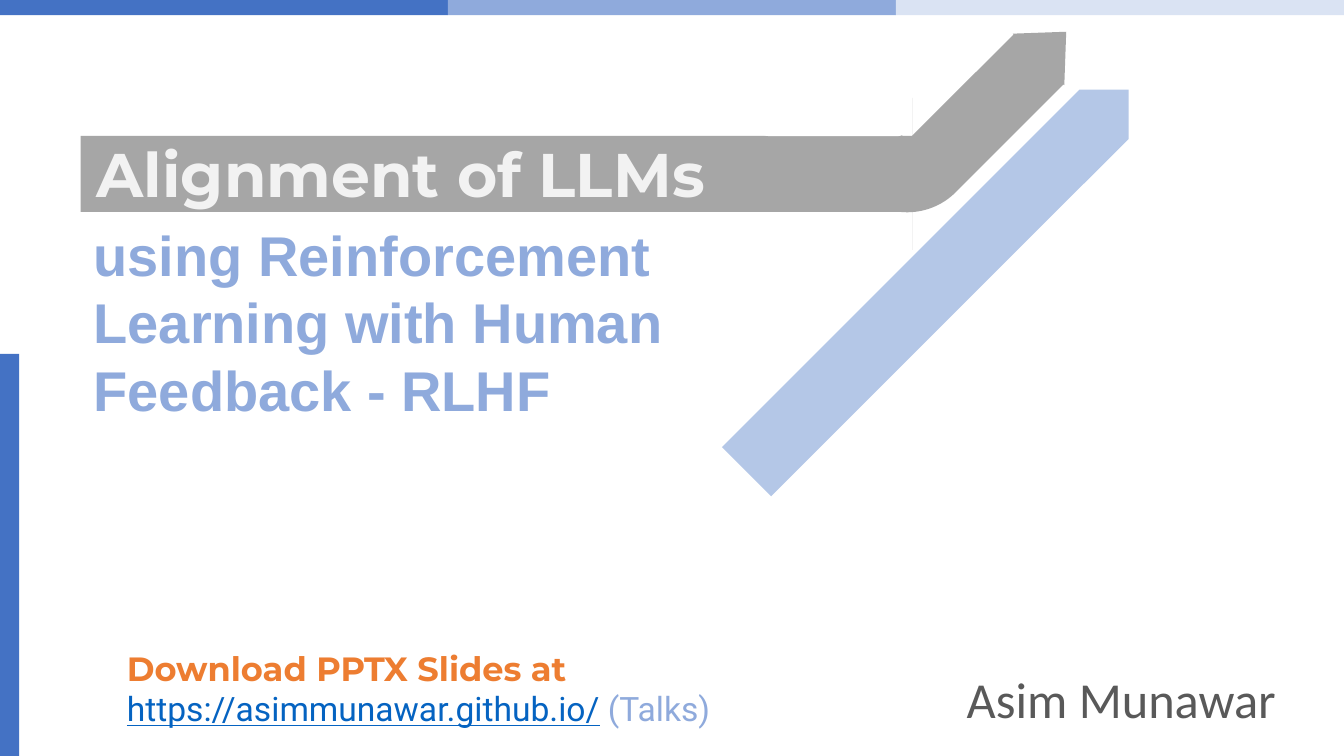
from dataclasses import dataclass

from pptx import Presentation
from pptx.dml.color import RGBColor
from pptx.enum.shapes import MSO_SHAPE
from pptx.enum.text import MSO_ANCHOR
from pptx.util import Inches, Pt


@dataclass(frozen=True)
class Theme:
    bars: tuple = ("4472C4", "8FAADC", "DAE3F3")
    accent: str = "4472C4"
    band: str = "A6A6A6"
    stripe: str = "B4C7E7"
    white: str = "FFFFFF"
    title: str = "F2F2F2"
    subtitle: str = "8FAADC"
    label: str = "ED7D31"
    link: str = "0563C1"
    author: str = "595959"
    title_size: int = 44
    subtitle_size: int = 40
    author_size: int = 36
    note_size: int = 24
    title_font: str = "Montserrat"
    subtitle_font: str = "Arial"
    note_font: str = "Roboto"
    author_font: str = "Calibri"


THEME = Theme()
WIDTH, HEIGHT = 13.33, 7.5


def add_block(slide, kind, box, color, adjustments=(), rotation=0, flip=False):
    sp = slide.shapes.add_shape(kind, *map(Inches, box))
    sp.shadow.inherit = False
    sp.fill.solid()
    sp.fill.fore_color.rgb = RGBColor.from_string(color)
    sp.line.fill.background()
    for i, value in enumerate(adjustments):
        sp.adjustments[i] = value
    sp.rotation = rotation
    if flip:
        sp._element.spPr.xfrm.set("flipV", "1")
    return sp


def add_text(slide, box, wrap=True, anchor=MSO_ANCHOR.TOP):
    tf = slide.shapes.add_textbox(*map(Inches, box)).text_frame
    tf.word_wrap = wrap
    tf.vertical_anchor = anchor
    return tf


def add_run(p, text, size, font, color, bold=False, underline=False):
    r = p.add_run()
    r.text = text
    r.font.size = Pt(size)
    r.font.name = font
    r.font.bold = bold
    r.font.underline = underline
    r.font.color.rgb = RGBColor.from_string(color)


def add_frame(slide, x, y, w, h):
    bar_w = w / len(THEME.bars)
    for i, color in enumerate(THEME.bars):
        add_block(slide, MSO_SHAPE.RECTANGLE, (x + i * bar_w, y - 0.02, bar_w, 0.17), color)
    side_h = 3.99
    add_block(slide, MSO_SHAPE.RECTANGLE, (x, y + h - side_h, 0.19, side_h), THEME.accent)


def add_arrows(slide, x, y):
    add_block(slide, MSO_SHAPE.RIGHT_ARROW, (x, y + 0.81, 8.25, 1.51), THEME.band, (0.5, 0))
    add_block(slide, MSO_SHAPE.BENT_ARROW, (x + 7.28, y, 2.58, 1.55), THEME.band,
              (0.452, 0.233, 0.25, 0.438), rotation=315, flip=True)
    add_block(slide, MSO_SHAPE.RIGHT_ARROW, (x + 5.82, y + 2.28, 5.36, 0.69), THEME.stripe,
              (1, 0.5), rotation=315, flip=True)
    add_block(slide, MSO_SHAPE.ROUNDED_RECTANGLE, (x + 6.72, y + 0.57, 1.49, 0.62), THEME.white)


def add_headings(slide, x, y):
    p = add_text(slide, (x + 0.03, y, 8.11, 0.84), anchor=MSO_ANCHOR.BOTTOM).paragraphs[0]
    p.line_spacing = 0.9
    add_run(p, "Alignment of LLMs", THEME.title_size, THEME.title_font, THEME.title, bold=True)
    p = add_text(slide, (x, y + 0.84, 7.65, 2.12)).paragraphs[0]
    add_run(p, "using Reinforcement Learning with Human Feedback - RLHF",
            THEME.subtitle_size, THEME.subtitle_font, THEME.subtitle, bold=True)


def add_download(slide, box):
    tf = add_text(slide, box)
    add_run(tf.paragraphs[0], "Download PPTX Slides at",
            THEME.note_size, THEME.title_font, THEME.label, bold=True)
    p = tf.add_paragraph()
    add_run(p, "https://asimmunawar.github.io/",
            THEME.note_size, THEME.note_font, THEME.link, underline=True)
    add_run(p, " (Talks)", THEME.note_size, THEME.note_font, THEME.subtitle)


def add_author(slide, box):
    p = add_text(slide, box, wrap=False).paragraphs[0]
    add_run(p, "Asim Munawar", THEME.author_size, THEME.author_font, THEME.author)


def main():
    prs = Presentation()
    prs.slide_width, prs.slide_height = Inches(WIDTH), Inches(HEIGHT)
    slide = prs.slides.add_slide(prs.slide_layouts[6])
    add_frame(slide, 0, 0, WIDTH, HEIGHT)
    add_arrows(slide, 0.8, 0.16)
    add_headings(slide, 0.83, 1.3)
    add_download(slide, (1.16, 6.38, 6.5, 0.91))
    add_author(slide, (9.49, 6.58, 3.3, 0.71))
    prs.save("out.pptx")


if __name__ == "__main__":
    main()
